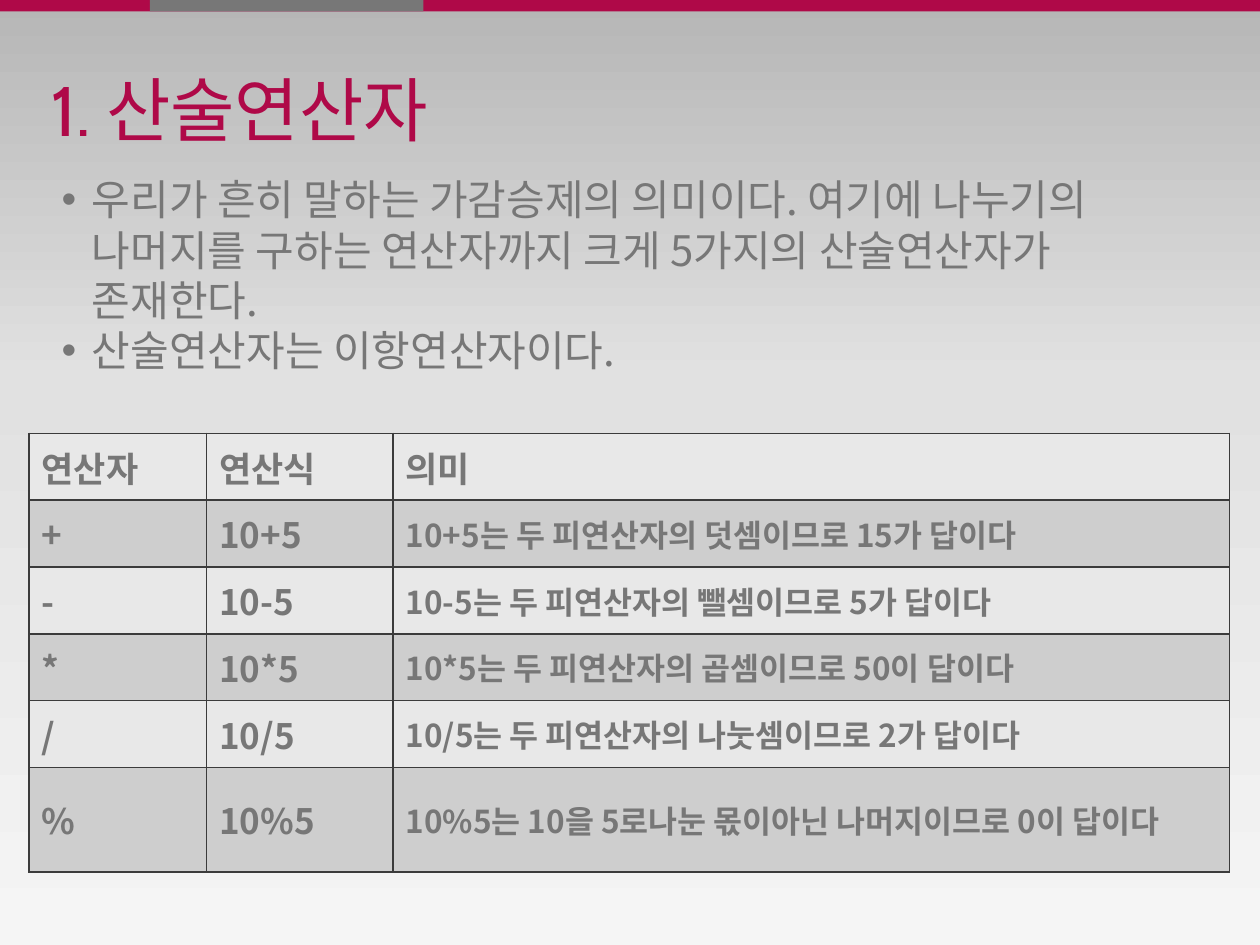
from copy import deepcopy

from pptx import Presentation
from pptx.dml.color import RGBColor
from pptx.enum.shapes import MSO_SHAPE
from pptx.enum.text import MSO_ANCHOR
from pptx.oxml.ns import qn
from pptx.util import Inches, Pt
from lxml import etree

RECTANGLE = MSO_SHAPE.RECTANGLE
MIDDLE = MSO_ANCHOR.MIDDLE

CRIMSON = RGBColor(0xAF, 0x09, 0x48)
GRAY = RGBColor(0x77, 0x77, 0x77)
BORDER = RGBColor(0x3B, 0x3B, 0x3B)
LIGHT_ROW = RGBColor(0xE8, 0xE8, 0xE8)
DARK_ROW = RGBColor(0xCE, 0xCE, 0xCE)
BACKGROUND_STOPS = [
    (0, RGBColor(0xB6, 0xB6, 0xB6)),
    (0.4, RGBColor(0xE1, 0xE1, 0xE1)),
    (1, RGBColor(0xF5, 0xF5, 0xF5)),
]
TITLE_FONT = "Cabin"
BODY_FONT = "Noto Sans CJK KR"

COLUMN_WIDTHS = [1.41, 1.48, 6.64]
# The last row holds two lines of text
ROW_HEIGHTS = [0.53] * 5 + [0.83]
OPERATORS = [
    ("연산자", "연산식", "의미"),
    ("+", "10+5", "10+5는 두 피연산자의 덧셈이므로 15가 답이다"),
    ("-", "10-5", "10-5는 두 피연산자의 뺄셈이므로 5가 답이다"),
    ("*", "10*5", "10*5는 두 피연산자의 곱셈이므로 50이 답이다"),
    ("/", "10/5", "10/5는 두 피연산자의 나눗셈이므로 2가 답이다"),
    ("%", "10%5", "10%5는 10을 5로나눈 몫이아닌 나머지이므로 0이 답이다"),
]
EXPLANATION = [
    "우리가 흔히 말하는 가감승제의 의미이다. 여기에 나누기의 나머지를 구하는 "
    "연산자까지 크게 5가지의 산술연산자가 존재한다.",
    "산술연산자는 이항연산자이다.",
]


class SlideBuilder:
    def __init__(self, page):
        self.page = page

    def background(self, stops):
        fill = self.page.background.fill
        fill.gradient()
        fill.gradient_angle = 270
        stop_list = self.page.element.find(".//" + qn("a:gsLst"))
        stop_list.append(deepcopy(stop_list[0]))
        for stop, (position, color) in zip(fill.gradient_stops, stops):
            stop.position = position
            stop.color.rgb = color

    def bar(self, left, width, color):
        shape = self.page.shapes.add_shape(
            RECTANGLE, Inches(left), Inches(0), Inches(width), Inches(0.09))
        shape.shadow.inherit = False
        shape.fill.solid()
        shape.fill.fore_color.rgb = color
        shape.line.fill.background()

    def format_runs(self, para, size, color, font=BODY_FONT, bold=False):
        for span in para.runs:
            span.font.size = Pt(size)
            span.font.name = font
            span.font.bold = bold
            span.font.color.rgb = color
            east_asian = etree.SubElement(span.font._element, qn("a:ea"))
            east_asian.set("typeface", BODY_FONT)

    def text_box(self, left, top, width, height):
        box = self.page.shapes.add_textbox(
            Inches(left), Inches(top), Inches(width), Inches(height))
        box.text_frame.word_wrap = True
        return box.text_frame

    def title(self, text, *place):
        frame = self.text_box(*place)
        frame.vertical_anchor = MIDDLE
        frame.text = text
        self.format_runs(frame.paragraphs[0], 40, CRIMSON, TITLE_FONT)

    def bullets(self, lines, *place):
        frame = self.text_box(*place)
        frame.text = "\n".join(lines)
        for para in frame.paragraphs:
            properties = para._p.get_or_add_pPr()
            properties.set("marL", str(Inches(0.24)))
            properties.set("indent", str(-Inches(0.24)))
            font = etree.SubElement(properties, qn("a:buFont"))
            font.set("typeface", "Arial")
            bullet = etree.SubElement(properties, qn("a:buChar"))
            bullet.set("char", "•")
            self.format_runs(para, 24, GRAY)

    def cell_borders(self, cell):
        properties = cell._tc.get_or_add_tcPr()
        for position, side in enumerate(("lnL", "lnR", "lnT", "lnB")):
            line = etree.Element(qn("a:" + side), w=str(Pt(1)))
            fill = etree.SubElement(line, qn("a:solidFill"))
            etree.SubElement(fill, qn("a:srgbClr"), val=str(BORDER))
            properties.insert(position, line)

    def table(self, rows, left, top):
        table = self.page.shapes.add_table(
            len(rows), len(COLUMN_WIDTHS), Inches(left), Inches(top),
            Inches(sum(COLUMN_WIDTHS)), Inches(sum(ROW_HEIGHTS))).table
        for column, width in zip(table.columns, COLUMN_WIDTHS):
            column.width = Inches(width)
        for r, texts in enumerate(rows):
            table.rows[r].height = Inches(ROW_HEIGHTS[r])
            for c, text in enumerate(texts):
                cell = table.cell(r, c)
                cell.text_frame.text = text
                cell.vertical_anchor = MIDDLE
                cell.fill.solid()
                cell.fill.fore_color.rgb = DARK_ROW if r % 2 else LIGHT_ROW
                self.cell_borders(cell)
                size = 18 if r > 0 and c == 2 else 20
                self.format_runs(cell.text_frame.paragraphs[0], size, GRAY,
                                 bold=True)


def main():
    deck = Presentation()
    deck.slide_width, deck.slide_height = Inches(10), Inches(7.5)
    builder = SlideBuilder(deck.slides.add_slide(deck.slide_layouts[6]))

    # Background and top band
    builder.background(BACKGROUND_STOPS)
    builder.bar(0, 10, CRIMSON)
    builder.bar(1.19, 2.17, GRAY)

    # Title, operator table and explanation
    builder.title("1. 산술연산자", 0.31, 0.48, 9.45, 0.77)
    builder.table(OPERATORS, 0.23, 3.44)
    builder.bullets(EXPLANATION, 0.39, 1.33, 8.67, 1.7)

    deck.save("out.pptx")


if __name__ == "__main__":
    main()
